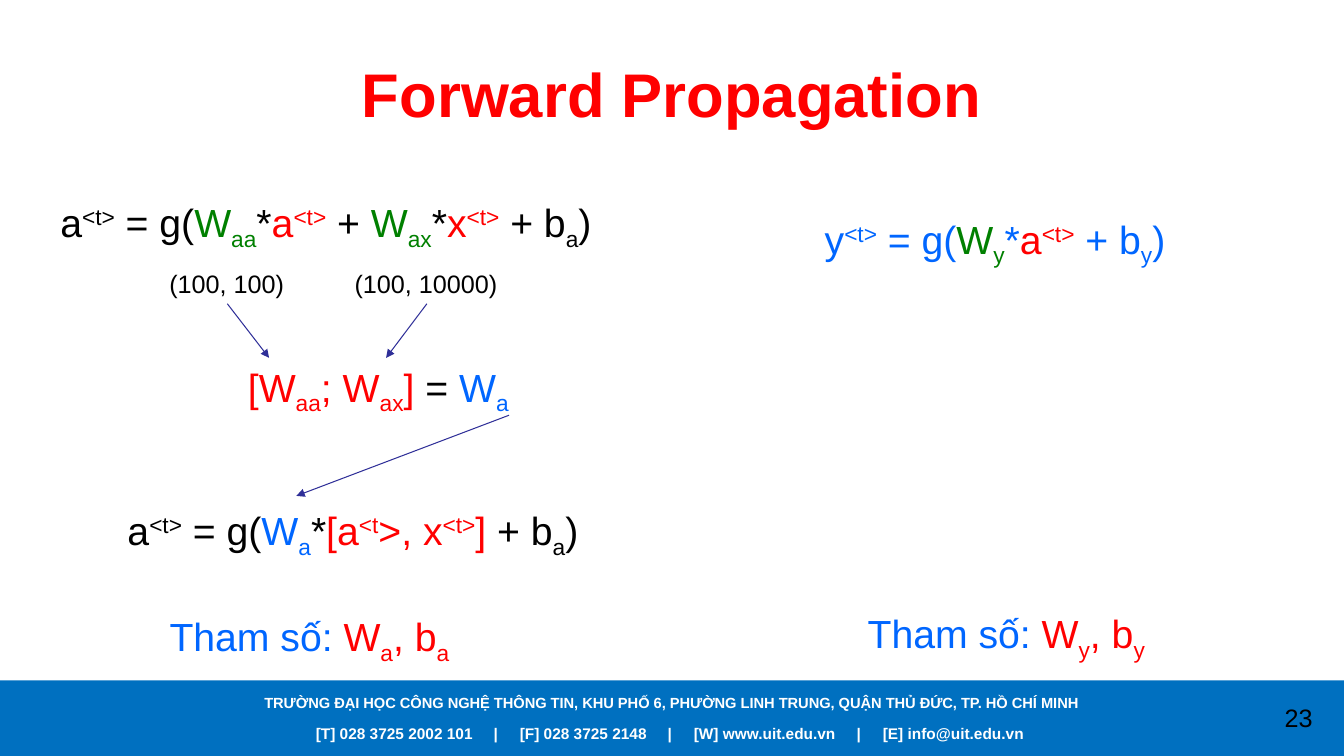
"""Build the Forward Propagation slide of a recurrent network lecture."""
from lxml.etree import SubElement
from pptx import Presentation
from pptx.dml.color import RGBColor
from pptx.enum.shapes import MSO_CONNECTOR as CONN, MSO_SHAPE as SHAPE
from pptx.enum.text import MSO_ANCHOR as ANCHOR, PP_ALIGN as ALIGN
from pptx.oxml.ns import qn
from pptx.util import Pt

BLACK = RGBColor(0, 0, 0)
WHITE = RGBColor(0xFF, 0xFF, 0xFF)
RED = RGBColor(0xFF, 0, 0)
GREEN = RGBColor(0, 0x80, 0)
BLUE = RGBColor(0, 0x66, 0xFF)
NAVY = RGBColor(0x2F, 0x2F, 0x98)
BAR = RGBColor(0, 0x70, 0xC0)
FONT = "Arial"
WIDTH, HEIGHT, BAR_TOP = 960, 540, 486
SUP, SUB = 30000, -25000

TITLE = "Forward Propagation"
ADDRESS = ("TRƯỜNG ĐẠI HỌC CÔNG NGHỆ THÔNG TIN, KHU PHỐ 6, PHƯỜNG LINH TRUNG, "
           "QUẬN THỦ ĐỨC, TP. HỒ CHÍ MINH")
CONTACTS = ["[T] 028 3725 2002 101", "[F] 028 3725 2148",
            "[W] www.uit.edu.vn", "[E] info@uit.edu.vn"]
CONTACT_TABS = [127, 145.7, 251.4, 270, 386.4, 405]
PAGE = "23"

HIDDEN_STATE = [
    ("a", BLACK), ("<t>", BLACK, SUP), (" = g(", BLACK),
    ("W", GREEN), ("aa", GREEN, SUB), ("*", BLACK),
    ("a", RED), ("<t>", RED, SUP), (" + ", BLACK),
    ("W", GREEN), ("ax", GREEN, SUB), ("*", BLACK),
    ("x", RED), ("<t>", RED, SUP),
    (" + b", BLACK), ("a", BLACK, SUB), (")", BLACK)]
STACKED_WEIGHTS = [
    ("[W", RED), ("aa", RED, SUB), ("; W", RED), ("ax", RED, SUB), ("] ", RED),
    ("= ", BLACK), ("W", BLUE), ("a", BLUE, SUB)]
SHORT_STATE = [
    ("a", BLACK), ("<t>", BLACK, SUP), (" = g(", BLACK),
    ("W", BLUE), ("a", BLUE, SUB), ("*", BLACK),
    ("[a", RED), ("<t", RED, SUP), (">, x", RED), ("<t>", RED, SUP), ("]", RED),
    (" + b", BLACK), ("a", BLACK, SUB), (")", BLACK)]
OUTPUT = [
    ("y", BLUE), ("<t>", BLUE, SUP), (" = g(", BLUE),
    ("W", GREEN), ("y", GREEN, SUB), ("*", BLUE),
    ("a", RED), ("<t>", RED, SUP),
    (" + b", BLUE), ("y", BLUE, SUB), (")", BLUE)]


def parameters(index):
    return [("Tham số: ", BLUE), ("W", RED), (index, RED, SUB),
            (", b", RED), (index, RED, SUB)]


FORMULAS = [
    (36, 138.2, 420, True, HIDDEN_STATE),
    (170, 255.6, 211.6, False, STACKED_WEIGHTS),
    (84, 358, 360, True, SHORT_STATE),
    (582, 150, 280, False, OUTPUT),
    (114, 434, 218, False, parameters("a")),
    (612.7, 432, 216, False, parameters("y"))]
SIZES = [
    (113.8, 97.2, "(100, 100)", (192.2, 255.6)),
    (246.2, 117.4, "(100, 10000)", (275.8, 255.6))]
WEIGHT_ARROW = (363.6, 296.6), (211.7, 354.2)


def add_text(slide, box, runs, size, align=ALIGN.LEFT, bold=False, wrap=True, tabs=()):
    s = slide.shapes.add_textbox(*map(Pt, box))
    tf = s.text_frame
    tf.word_wrap = wrap
    p = tf.paragraphs[0]
    p.alignment = align
    if tabs:
        stops = SubElement(p._p.get_or_add_pPr(), qn("a:tabLst"))
        for pos in tabs:
            SubElement(stops, qn("a:tab"), pos=str(int(Pt(pos))), algn="l")
    for text, color, *shift in runs:
        r = p.add_run()
        r.text = text
        r.font.name, r.font.size, r.font.bold = FONT, Pt(size), bold
        r.font.color.rgb = color
        if shift:
            r.font._element.set("baseline", str(shift[0]))
    return s


def add_arrow(slide, start, end):
    c = slide.shapes.add_connector(CONN.STRAIGHT, *map(Pt, start + end))
    c.line.color.rgb = NAVY
    c.line.width = Pt(0.75)
    SubElement(c.line._get_or_add_ln(), qn("a:tailEnd"), type="triangle")
    SubElement(c._element.spPr, qn("a:effectLst"))
    return c


def add_footer(slide):
    bar = slide.shapes.add_shape(SHAPE.RECTANGLE, 0, Pt(BAR_TOP), Pt(WIDTH),
                                 Pt(HEIGHT - BAR_TOP))
    bar.shadow.inherit = False
    bar.fill.solid()
    bar.fill.fore_color.rgb = BAR
    bar.line.fill.background()
    add_text(slide, (0, 491.8, WIDTH, 20.2), [(ADDRESS, WHITE)], 10.5, ALIGN.CENTER, True)
    add_text(slide, (218.5, 513.4, 540, 20.9), [("\t|\t".join(CONTACTS), WHITE)], 11,
             bold=True, tabs=CONTACT_TABS)
    add_text(slide, (895.7, 498.2, 64, 28.8), [(PAGE, BLACK)], 18, ALIGN.CENTER)


def main():
    prs = Presentation()
    prs.slide_width, prs.slide_height = Pt(WIDTH), Pt(HEIGHT)
    slide = prs.slides.add_slide(prs.slide_layouts[6])
    add_footer(slide)
    title = add_text(slide, (48, 21.6, 864, 90), [(TITLE, RED)], 44, ALIGN.CENTER, True)
    title.text_frame.vertical_anchor = ANCHOR.MIDDLE
    for left, top, width, wrap, runs in FORMULAS:
        add_text(slide, (left, top, width, 41.2), runs, 28, wrap=wrap)
    for left, width, text, target in SIZES:
        label = add_text(slide, (left, 188, width, 29), [(text, BLACK)], 18, wrap=False)
        arrow = add_arrow(slide, (left + width / 2, 217), target)
        arrow.begin_connect(label, 2)
    add_arrow(slide, *WEIGHT_ARROW)
    prs.save("out.pptx")


if __name__ == "__main__":
    main()
